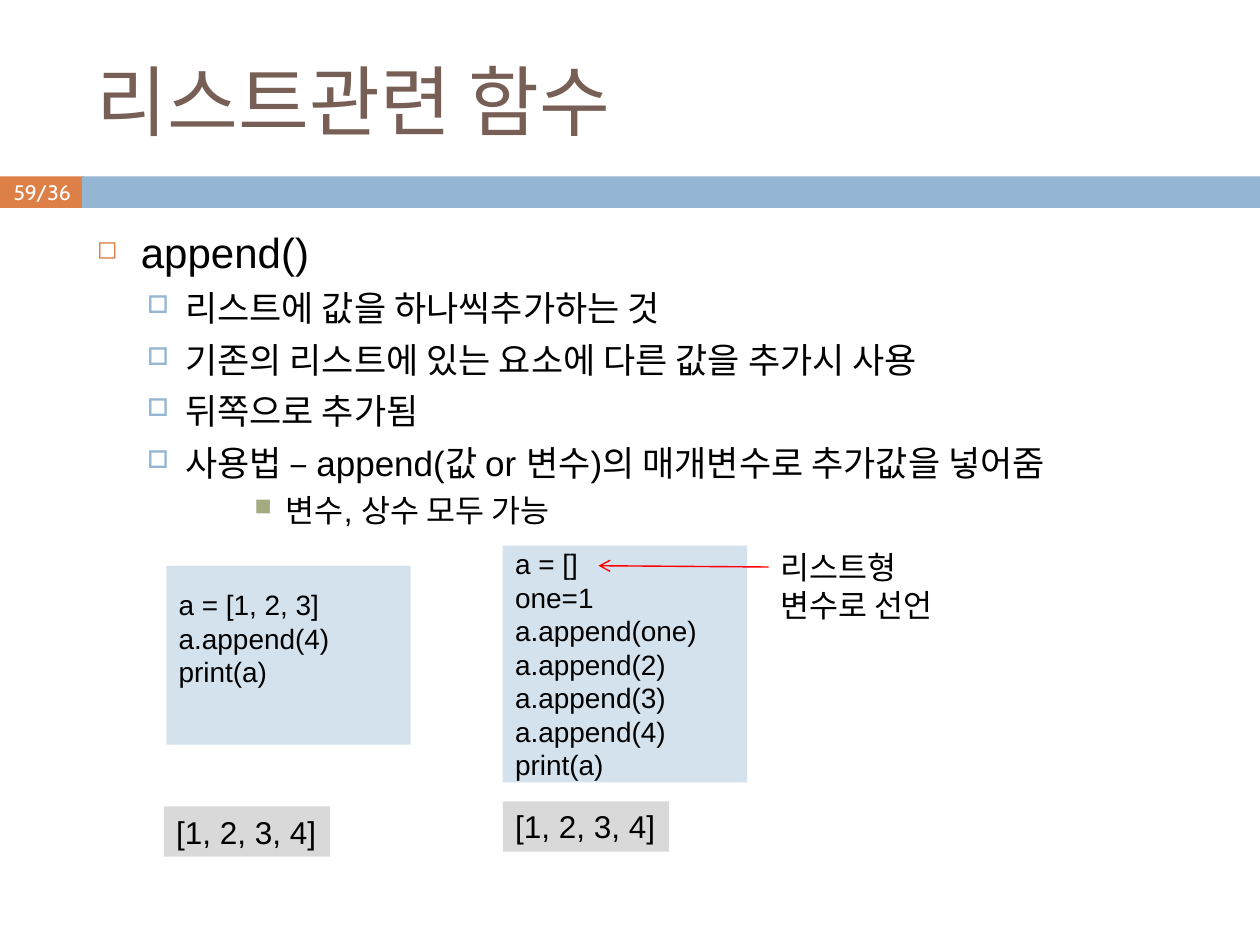
from lxml.etree import SubElement
from pptx import Presentation
from pptx.dml.color import RGBColor
from pptx.enum.shapes import MSO_CONNECTOR, MSO_SHAPE
from pptx.enum.text import MSO_ANCHOR, PP_ALIGN
from pptx.oxml.ns import qn
from pptx.util import Inches, Pt

COLORS = {
    "title": "775F55", "text": "000000", "white": "FFFFFF",
    "orange": "DD8047", "blue": "94B6D2", "green": "A5AB81",
    "code": "D4E2ED", "output": "D9D9D9", "arrow": "FF0000",
}
# level: left margin, hanging indent, space before, size, bullet, bullet color, bullet percent
LEVELS = {
    0: (0.35, 0.35, 7, 24, "◻", "orange", 60),
    1: (0.7, 0.3, 5.5, 20, "□", "blue", 70),
    3: (1.5, 0.25, 4, 18, "■", "green", 75),
}
OUTLINE = [
    (0, "append()"),
    (1, "리스트에 값을 하나씩추가하는 것"),
    (1, "기존의 리스트에 있는 요소에 다른 값을 추가시 사용"),
    (1, "뒤쪽으로 추가됨"),
    (1, "사용법 – append(값 or 변수)의 매개변수로 추가값을 넣어줌"),
    (3, "변수, 상수 모두 가능"),
]
LITERAL_CODE = ["a = [1, 2, 3]", "a.append(4)", "print(a)"]
VARIABLE_CODE = ["a = []", "one=1", "a.append(one)", "a.append(2)",
                 "a.append(3)", "a.append(4)", "print(a)"]
RESULT = ["[1, 2, 3, 4]"]


def color(name):
    """Return the named color."""
    return RGBColor.from_string(COLORS[name])


def style(para, size, name="text", face="Arial"):
    """Set the font of a paragraph."""
    para.font.size = Pt(size)
    para.font.name = face
    para.font.color.rgb = color(name)


def add_bar(page, box, fill):
    """Add a plain filled rectangle."""
    bar = page.shapes.add_shape(MSO_SHAPE.RECTANGLE, *map(Inches, box))
    bar.shadow.inherit = False
    bar.fill.solid()
    bar.fill.fore_color.rgb = color(fill)
    bar.line.fill.background()
    return bar


def write_lines(shape, lines, size, anchor=MSO_ANCHOR.TOP, wrap=True,
                align=PP_ALIGN.LEFT, name="text", face="Arial"):
    """Write one paragraph per line into a shape."""
    frame = shape.text_frame
    frame.word_wrap = wrap
    frame.vertical_anchor = anchor
    frame.text = "\n".join(lines)
    for para in frame.paragraphs:
        para.alignment = align
        style(para, size, name, face)
    return frame


def add_text(page, box, lines, size, **options):
    """Add a text box holding the given lines."""
    return write_lines(page.shapes.add_textbox(*map(Inches, box)), lines, size, **options)


def add_header(page, left, top, width):
    """Add the title above the band with the page number."""
    band_top, band_height, number_width = top + 1.4, 0.25, 0.65
    number = add_bar(page, (left, band_top, number_width + 0.02, band_height), "orange")
    frame = write_lines(number, ["59/36"], 12, MSO_ANCHOR.MIDDLE, False,
                        PP_ALIGN.CENTER, "white", "Cabin")
    frame.margin_top = frame.margin_bottom = 0
    add_bar(page, (left + number_width, band_top, width - number_width, band_height), "blue")
    add_text(page, (left + 0.67, top + 0.25, 8.92, 1.08), ["리스트관련 함수"], 44,
             anchor=MSO_ANCHOR.MIDDLE, name="title", face="Cabin")


def add_bullet(para, margin, hang, char, name, percent):
    """Give a paragraph a hanging colored bullet."""
    props = para._p.get_or_add_pPr()
    props.set("marL", str(Inches(margin)))
    props.set("indent", str(-Inches(hang)))
    SubElement(SubElement(props, qn("a:buClr")), qn("a:srgbClr"), val=COLORS[name])
    SubElement(props, qn("a:buSzPct"), val=str(percent * 1000))
    SubElement(props, qn("a:buChar"), char=char)


def add_outline(page, box):
    """Add the bulleted explanation of the function."""
    frame = page.shapes.add_textbox(*map(Inches, box)).text_frame
    frame.word_wrap = True
    for index, (level, text) in enumerate(OUTLINE):
        margin, hang, before, size, char, name, percent = LEVELS[level]
        para = frame.add_paragraph() if index else frame.paragraphs[0]
        para.text = text
        para.level = level
        add_bullet(para, margin, hang, char, name, percent)
        para.space_before = Pt(before if index else 0)
        style(para, size)


def add_example(page, code_box, lines, output_left, output_top, bottom_margin=0.05):
    """Add a code panel and the output it prints."""
    code = add_bar(page, code_box, "code")
    frame = write_lines(code, lines, 16, MSO_ANCHOR.MIDDLE)
    frame.margin_bottom = Inches(bottom_margin)
    output = add_bar(page, (output_left, output_top, 1.32, 0.4), "output")
    write_lines(output, RESULT, 18, wrap=False)


def add_callout(page, box, tip_left, tip_top):
    """Add a remark with an arrow to the code it explains."""
    left, top = box[:2]
    add_text(page, box, ["리스트형 변수로 선언"], 18)
    ends = (left, top + 0.2, tip_left, tip_top)
    arrow = page.shapes.add_connector(MSO_CONNECTOR.STRAIGHT, *map(Inches, ends))
    arrow.line.color.rgb = color("arrow")
    arrow.line.width = Pt(0.79)
    SubElement(arrow.line._get_or_add_ln(), qn("a:tailEnd"), type="arrow")
    SubElement(arrow._element.spPr, qn("a:effectLst"))


def main():
    """Build and save the slide."""
    deck = Presentation()
    deck.slide_width, deck.slide_height = Inches(10), Inches(7.5)
    page = deck.slides.add_slide(deck.slide_layouts[6])
    add_header(page, 0, 0, 10)
    add_outline(page, (0.67, 1.75, 8.92, 5.47))
    add_example(page, (1.32, 4.49, 1.94, 1.42), LITERAL_CODE, 1.3, 6.4, 0.32)
    add_example(page, (3.99, 4.33, 1.94, 1.88), VARIABLE_CODE, 3.99, 6.36)
    add_callout(page, (6.1, 4.3, 1.54, 0.7), 4.75, 4.49)
    deck.save("out.pptx")


if __name__ == "__main__":
    main()
